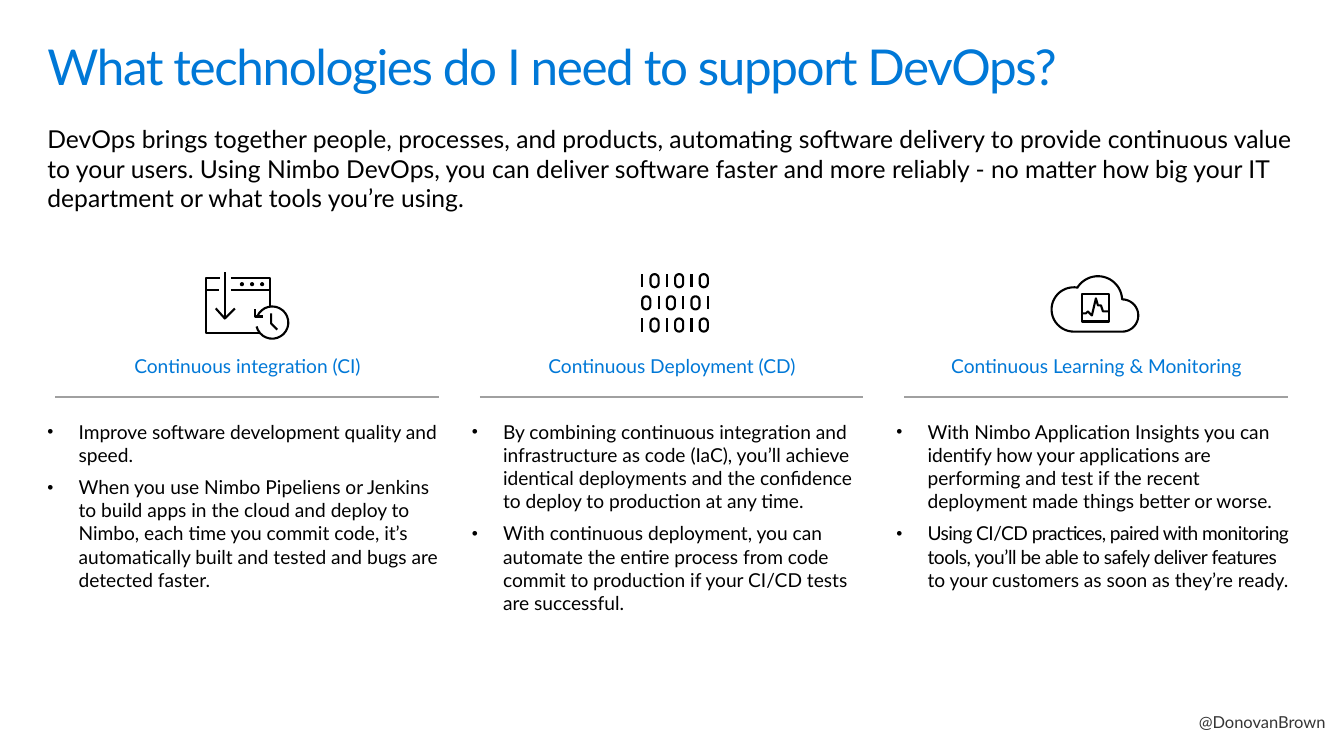
import math

from lxml import etree
from pptx import Presentation
from pptx.dml.color import RGBColor
from pptx.enum import shapes, text
from pptx.oxml import ns
from pptx.util import Inches, Pt

COLUMNS = [
    ("Continuous integration (CI)", [
        [("Improve software development quality and speed.", 0)],
        [("When you use Nimbo Pipeliens or Jenkins to build apps in the cloud and deploy to Nimbo, "
          "each time you commit code, it’s automatically built and tested and bugs are detected "
          "faster.", 0)],
    ]),
    ("Continuous Deployment (CD)", [
        [("By combining continuous integration and infrastructure as code (IaC), you’ll achieve "
          "identical deployments and the confidence to deploy to production at any time.", 0)],
        [("With continuous deployment, you can automate the entire process from code commit to "
          "production if your CI/CD tests are successful.", 0)],
    ]),
    ("Continuous Learning & Monitoring", [
        [("With Nimbo Application Insights you can identify how your applications are performing "
          "and test if the recent deployment made things better or worse.", 0)],
        [("Using CI/CD practices, paired with monitoring ", -0.4),
         ("tools, you’ll be able to safely deliver features", -0.3),
         (" to your customers as soon as they’re ready.", 0)],
    ]),
]


def color(value):
    return RGBColor.from_string(value)


def arc(x, y, radius, start, end, steps=24):
    angles = [math.radians(start + (end - start) * i / steps) for i in range(steps + 1)]
    return [(x + radius * math.cos(a), y + radius * math.sin(a)) for a in angles]


class SlideBuilder:
    font = "Lato"
    blue = "0078D7"
    black = "000000"
    gray = "A0A0A0"
    white = "FFFFFF"

    def __init__(self, presentation):
        self.slide = presentation.slides.add_slide(presentation.slide_layouts[6])

    def box(self, left, top, width, height, insets=(0, 0, 0, 0), wrap=True):
        shape = self.slide.shapes.add_textbox(*map(Inches, (left, top, width, height)))
        frame = shape.text_frame
        frame.word_wrap = wrap
        frame.margin_left, frame.margin_top, frame.margin_right, frame.margin_bottom = map(Inches, insets)
        return frame

    def add_runs(self, paragraph, runs, size, fill, after=0.0, spacing=None, align=None):
        paragraph.space_after = Pt(after)
        paragraph.line_spacing = spacing
        paragraph.alignment = align
        for words, tracking in runs:
            run = paragraph.add_run()
            run.text = words
            run.font.size = Pt(size)
            run.font.name = self.font
            run.font.color.rgb = color(fill)
            if tracking:
                run._r.get_or_add_rPr().set("spc", str(round(tracking * 100)))

    def bullet(self, paragraph):
        properties = paragraph._p.get_or_add_pPr()
        properties.set("marL", str(Inches(0.31)))
        properties.set("indent", str(-Inches(0.31)))
        for tag, name, value in (("a:buSzPct", "val", "90000"),
                                 ("a:buFont", "typeface", "Arial"),
                                 ("a:buChar", "char", "•")):
            etree.SubElement(properties, ns.qn(tag)).set(name, value)

    def column(self, left, heading, items):
        frame = self.box(left, 3.52, 3.97, 2.85)
        self.add_runs(frame.paragraphs[0], [(heading, 0)], 13.7, self.blue, 30.2,
                      align=text.PP_ALIGN.CENTER)
        for runs in items:
            paragraph = frame.add_paragraph()
            self.bullet(paragraph)
            self.add_runs(paragraph, runs, 13.7, self.black, 6.9)

    def rule(self, left, top, width):
        line = self.slide.shapes.add_connector(
            shapes.MSO_CONNECTOR.STRAIGHT, *map(Inches, (left, top, left + width, top)))
        line.line.color.rgb = color(self.gray)
        line.line.width = Pt(1)
        etree.SubElement(line._element.spPr, ns.qn("a:effectLst"))

    def outline(self, contours, fill=None):
        builder = None
        for points, closed in contours:
            start, *rest = [(Inches(x), Inches(y)) for x, y in points]
            if builder is None:
                builder = self.slide.shapes.build_freeform(*start)
            else:
                builder.move_to(*start)
            builder.add_line_segments(rest, close=closed)
        shape = builder.convert_to_shape()
        shape.shadow.inherit = False
        if fill:
            shape.fill.solid()
            shape.fill.fore_color.rgb = color(fill)
        else:
            shape.fill.background()
        shape.line.color.rgb = color(self.black)
        shape.line.width = Pt(1.5)

    def integration_icon(self):
        window = [
            ([(2.29, 2.76), (2.68, 2.76), (2.68, 3.3), (2.04, 3.3), (2.04, 2.76), (2.18, 2.76)], False),
            ([(2.29, 2.88), (2.68, 2.88)], False),
            ([(2.04, 2.88), (2.17, 2.88)], False),
            ([(2.14, 3.06), (2.23, 3.16), (2.33, 3.06)], False),
            ([(2.23, 2.7), (2.23, 3.16)], False),
        ]
        dots = [(arc(x, 2.82, 0.01, 0, 360, 8), True) for x in (2.4, 2.5, 2.6)]
        self.outline(window + dots, self.white)
        self.outline([
            ([(2.75, 3.27), (2.69, 3.21), (2.69, 3.11)], False),
            ([(2.53, 3.07), (2.53, 3.14), (2.61, 3.14)], False),
            (arc(2.7, 3.2, 0.16, 166, -158), False),
        ], self.white)

    def deployment_icon(self):
        contours = []
        for row, (left, digits) in enumerate([(6.37, "101010"), (6.41, "010101"), (6.37, "101010")]):
            top = 2.72 + 0.22 * row
            for position, digit in enumerate(digits):
                x = left + 0.61 / 5 * position
                if digit == "1":
                    contours.append(([(x, top), (x, top + 0.13)], False))
                else:
                    ring = arc(x, top + 0.04, 0.04, 180, 360, 8) + arc(x, top + 0.09, 0.04, 0, 180, 8)
                    contours.append((ring, True))
        self.outline(contours)

    def monitoring_icon(self):
        cloud = (arc(10.65, 3.07, 0.22, 90, 280) + arc(10.89, 2.98, 0.24, 211, 355)
                 + arc(11.13, 3.13, 0.16, -90, 90))
        self.outline([(cloud, True)])
        self.outline([
            ([(10.73, 3.19), (10.73, 2.92), (11, 2.92), (11, 3.19)], True),
            ([(11, 3.09), (10.94, 3.09), (10.92, 3.03), (10.89, 3.03), (10.87, 2.96),
              (10.83, 3.13), (10.79, 3.09), (10.77, 3.11), (10.73, 3.11)], False),
        ])


def main():
    presentation = Presentation()
    presentation.slide_width = Inches(13.33)
    presentation.slide_height = Inches(7.5)
    builder = SlideBuilder(presentation)

    title = builder.box(0.47, 0.24, 12.4, 0.81, (0, 0.18, 0, 0))
    builder.add_runs(title.paragraphs[0], [("What technologies do I need to support DevOps?", -1)],
                     35.3, builder.blue, spacing=0.9)
    introduction = builder.box(0.47, 1.23, 12.4, 0.89)
    builder.add_runs(introduction.paragraphs[0], [(
        "DevOps brings together people, processes, and products, automating software delivery to "
        "provide continuous value to your users. Using Nimbo DevOps, you can deliver software faster "
        "and more reliably - no matter how big your IT department or what tools you’re using.", 0)],
        17.6, builder.black)

    for index, (heading, items) in enumerate(COLUMNS):
        offset = 4.21 * index
        builder.column(0.47 + offset, heading, items)
        builder.rule(0.55 + offset, 3.94, 3.8)
    builder.integration_icon()
    builder.deployment_icon()
    builder.monitoring_icon()

    handle = builder.box(11.69, 7, 1.67, 0.5, (0.2, 0.16, 0.2, 0.16), wrap=False)
    builder.add_runs(handle.paragraphs[0], [("@DonovanBrown", 0)], 11.8, "353535", spacing=0.9)
    presentation.save("out.pptx")


if __name__ == "__main__":
    main()
